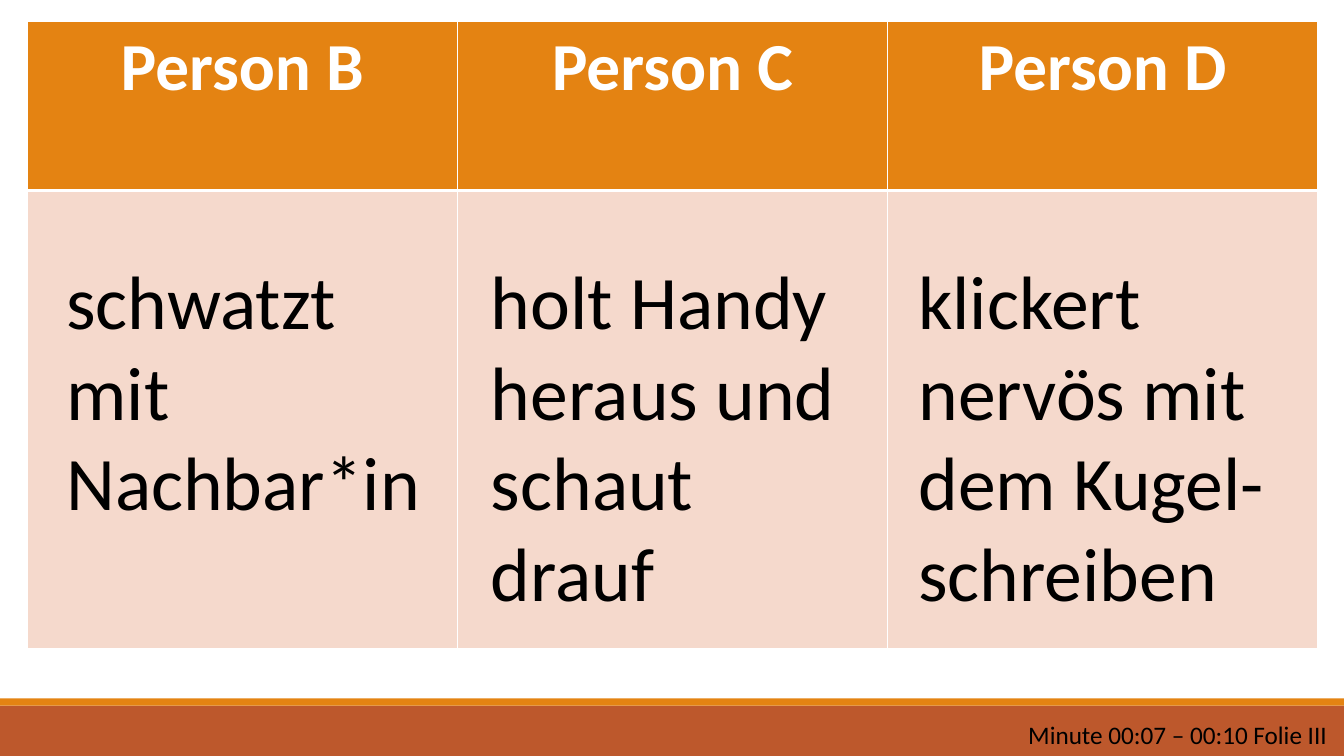
from lxml import etree
from pptx import Presentation
from pptx.dml.color import RGBColor
from pptx.enum.shapes import MSO_SHAPE
from pptx.enum.text import PP_ALIGN
from pptx.oxml.ns import qn
from pptx.util import Inches, Pt

RECT = MSO_SHAPE.RECTANGLE
CENTER = PP_ALIGN.CENTER
WHITE = RGBColor(0xFF, 0xFF, 0xFF)
BLACK = RGBColor(0, 0, 0)
ORANGE = RGBColor(0xE4, 0x83, 0x12)
RUST = RGBColor(0xBD, 0x58, 0x2C)
BLUSH = RGBColor(0xF5, 0xD9, 0xCC)
FONT = "Calibri"


def style(para, size, color, bold=False):
    font = para.font
    font.name, font.size, font.bold = FONT, Pt(size), bold
    font.color.rgb = color


def edge(cell, bottom):
    """Draw white cell borders; bottom is the lower line's width in points."""
    props = cell._tc.get_or_add_tcPr()
    sides = {"lnL": 1, "lnR": 1, "lnT": 1, "lnB": bottom}
    for spot, (tag, width) in enumerate(sides.items()):
        line = etree.Element(qn("a:" + tag), w=str(Pt(width)))
        fill = etree.SubElement(line, qn("a:solidFill"))
        etree.SubElement(fill, qn("a:srgbClr"), val=str(WHITE))
        props.insert(spot, line)


deck = Presentation()
deck.slide_width, deck.slide_height = Inches(13.33), Inches(7.5)
slide = deck.slides.add_slide(deck.slide_layouts[6])
shapes = slide.shapes

# Footer bands
for top, height, color in [(7, 0.5, RUST), (6.93, 0.07, ORANGE)]:
    band = shapes.add_shape(RECT, 0, Inches(top), deck.slide_width, Inches(height))
    band.shadow.inherit = False
    band.fill.solid()
    band.fill.fore_color.rgb = color
    band.line.fill.background()

# Table of people
people = ["Person B", "Person C", "Person D"]
table = shapes.add_table(2, len(people), Inches(0.27), Inches(0.21),
                         Inches(12.8), Inches(6.22)).table
table.rows[0].height, table.rows[1].height = Inches(1.68), Inches(4.54)
for col, name in enumerate(people):
    head, body = table.cell(0, col), table.cell(1, col)
    for cell, color, bottom in [(head, ORANGE, 3), (body, BLUSH, 1)]:
        cell.fill.solid()
        cell.fill.fore_color.rgb = color
        edge(cell, bottom)
    head.text = name
    para = head.text_frame.paragraphs[0]
    para.alignment = CENTER
    style(para, 48, WHITE, True)

# Actions and time note
notes = [
    (0.56, 2.47, 3.75, 2.83, 54, "schwatzt mit Nachbar*in"),
    (4.77, 2.47, 3.67, 3.74, 54, "holt Handy heraus und schaut drauf"),
    (9.01, 2.47, 4.24, 3.74, 54, "klickert nervös mit dem Kugel-schreiben"),
    (10.1, 7.09, 3.23, 0.4, 18, "Minute 00:07 – 00:10 Folie III"),
]
for left, top, width, height, size, text in notes:
    box = shapes.add_textbox(Inches(left), Inches(top), Inches(width), Inches(height))
    frame = box.text_frame
    frame.word_wrap = True
    frame.text = text
    style(frame.paragraphs[0], size, BLACK)

deck.save("out.pptx")
